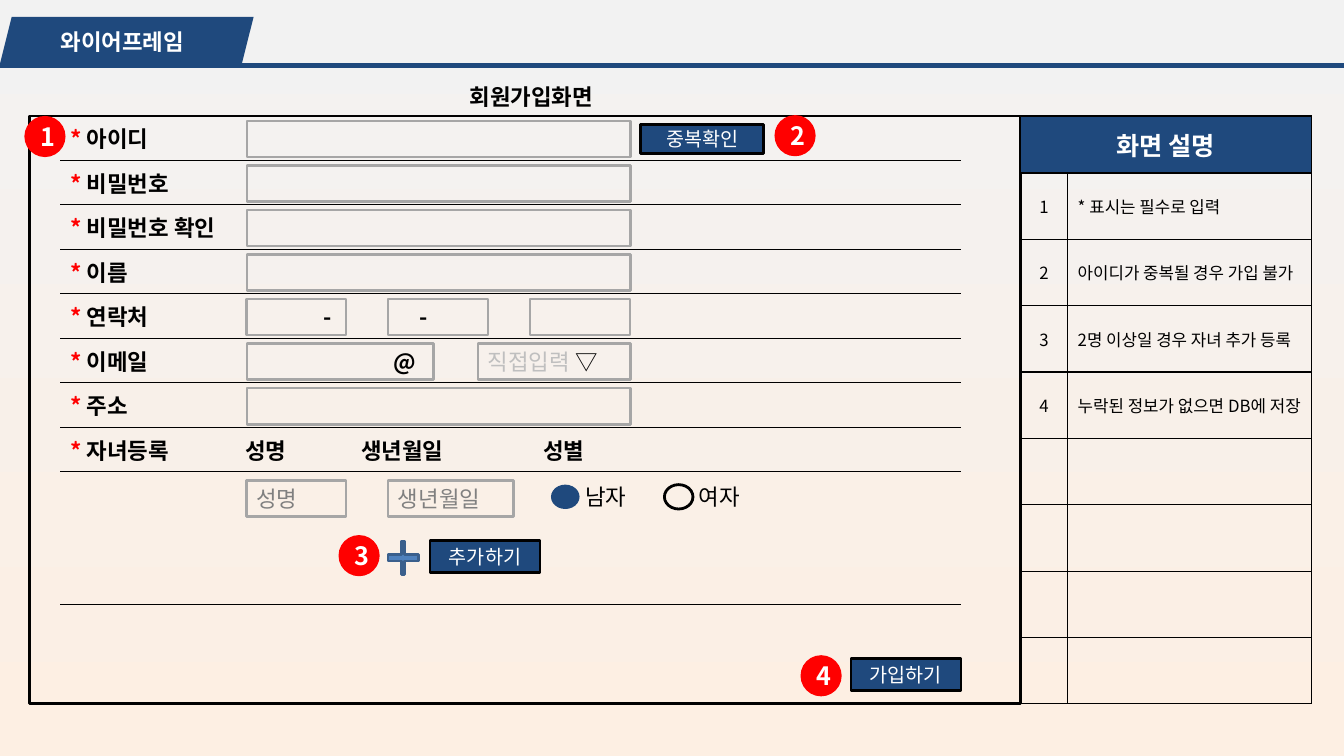
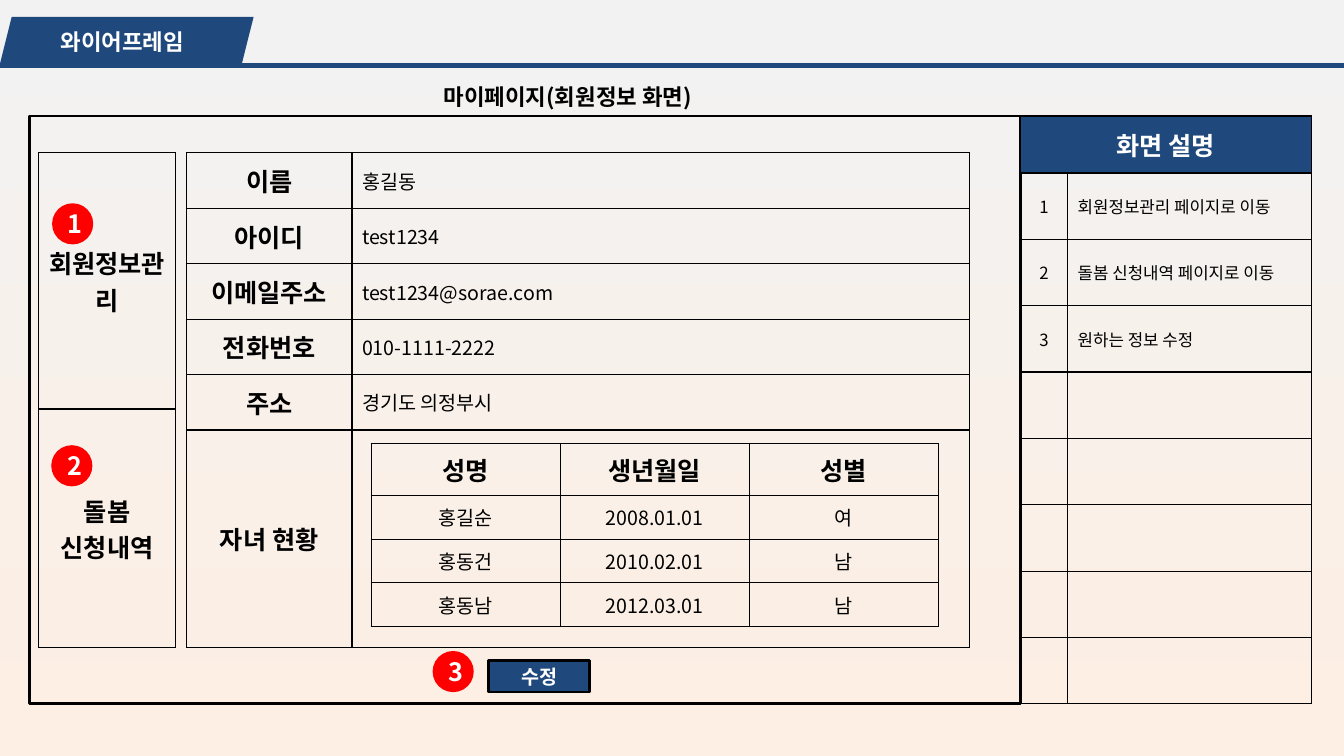
"""Build two wireframe slides: the sign-up form and the member page."""
from dataclasses import dataclass, replace
from typing import Optional, Sequence

from pptx import Presentation
from pptx.dml.color import RGBColor
from pptx.enum.shapes import MSO_CONNECTOR, MSO_SHAPE
from pptx.enum.text import MSO_ANCHOR, PP_ALIGN
from pptx.oxml.ns import qn
from pptx.util import Emu, Pt
from lxml.etree import SubElement

COLOURS = {
    "navy": "1F497D", "blue": "4F81BD", "blue_edge": "3A5F8C", "red": "FF0000",
    "black": "000000", "white": "FFFFFF", "field": "A6A6A6", "hint": "808080",
    "faint": "BFBFBF", "top": "F2F2F2", "bottom": "FDEFE3",
}
KOREAN_FONT = "Noto Sans CJK KR"
GRID_COLUMNS, GRID_ROWS = 160, 90
CELL = 76200
FRAME_LEFT, FRAME_TOP, FRAME_WIDTH, FRAME_HEIGHT = 3.5, 13.8, 118, 70
FORM_LEFT, FORM_ROW = 7.2, 5.3
FIELD_LEFT, FIELD_WIDTH, FIELD_HEIGHT = 29.4, 45.7, 4.3
SMALL_LEFT, SMALL_WIDTH, SMALL_STEP = 29.3, 11.9, 16.9
NOTE_ROWS = 8


@dataclass(frozen=True)
class TextStyle:
    """Format of a text."""
    size: float = 16
    bold: bool = False
    colour: str = "black"
    align: PP_ALIGN = PP_ALIGN.CENTER
    font: str = KOREAN_FONT


@dataclass(frozen=True)
class Box:
    """Place on the slide grid, in columns and rows."""
    left: float
    top: float
    width: float
    height: float


@dataclass(frozen=True)
class Label:
    """Text runs with their style, tab stops in columns and cell fill."""
    runs: Sequence[tuple[str, str]]
    style: TextStyle
    tabs: Sequence[float] = ()
    fill: Optional[str] = None


@dataclass(frozen=True)
class Badge:
    """Numbered red marker."""
    number: int
    left: float
    top: float


@dataclass(frozen=True)
class FormRow:
    """Caption of a form row with further texts at tab stops."""
    caption: str
    extras: Sequence[tuple[str, float]] = ()


TITLE = TextStyle(bold=True)
TAB_TITLE = replace(TITLE, colour="white")
HEADER = TextStyle(18, True)
WHITE_HEADER = replace(HEADER, colour="white")
BUTTON = TextStyle(14, colour="white")
NOTE_NUMBER = TextStyle(12)
NOTE = replace(NOTE_NUMBER, align=PP_ALIGN.LEFT)
VALUE = TextStyle(14)
LEFT_VALUE = replace(VALUE, align=PP_ALIGN.LEFT)
FORM = TextStyle(bold=True, align=PP_ALIGN.LEFT)
HINT = TextStyle(colour="hint", align=PP_ALIGN.LEFT)
RADIO = TextStyle(font="Arial")

FORM_ROWS = [
    FormRow("아이디"), FormRow("비밀번호"), FormRow("비밀번호 확인"), FormRow("이름"),
    FormRow("연락처", (("-", 30.1), ("-", 41.5))),
    FormRow("이메일", (("@", 38.4),)),
    FormRow("주소"),
    FormRow("자녀등록", (("성명", 20.8), ("생년월일", 34.6), ("성별", 56.3))),
]
SIGN_UP_NOTES = ["* 표시는 필수로 입력", "아이디가 중복될 경우 가입 불가",
                 "2명 이상일 경우 자녀 추가 등록", "누락된 정보가 없으면 DB에 저장"]
MEMBER_NOTES = ["회원정보관리 페이지로 이동", "돌봄 신청내역 페이지로 이동", "원하는 정보 수정"]
MEMBER = {"이름": "홍길동", "아이디": "test1234", "이메일주소": "test1234@sorae.com",
          "전화번호": "010-1111-2222", "주소": "경기도 의정부시"}
CHILDREN = [("홍길순", "2008.01.01", "여"), ("홍동건", "2010.02.01", "남"),
            ("홍동남", "2012.03.01", "남")]


def cells(count: float) -> Emu:
    """Turn grid cells into a length."""
    return Emu(round(count * CELL))


def place(box: Box) -> tuple[Emu, ...]:
    """Turn a grid box into left, top, width and height."""
    return tuple(cells(value) for value in (box.left, box.top, box.width, box.height))


def rgb(name: str) -> RGBColor:
    """Look up a colour."""
    return RGBColor.from_string(COLOURS[name])


def plain(text: str, style: TextStyle) -> Label:
    """Make a label of one run."""
    return Label([(text, style.colour)], style)


def write(text_frame, label: Label) -> None:
    """Write a label into a text frame."""
    style = label.style
    paragraph = text_frame.paragraphs[0]
    paragraph.alignment = style.align
    if label.tabs:
        tab_list = SubElement(paragraph._p.get_or_add_pPr(), qn("a:tabLst"))
        for stop in label.tabs:
            SubElement(tab_list, qn("a:tab"), pos=str(cells(stop)), algn="l")
    font_format = {"size": Pt(style.size), "bold": style.bold, "name": style.font}
    for text, colour in label.runs:
        run = paragraph.add_run()
        run.text = text
        for name, value in font_format.items():
            setattr(run.font, name, value)
        run.font.color.rgb = rgb(colour)
        SubElement(run._r.get_or_add_rPr(), qn("a:ea"), typeface=KOREAN_FONT)


def add_box(slide, kind: MSO_SHAPE, box: Box, fill: Optional[str] = None,
            line: Optional[str] = None, label: Optional[Label] = None):
    """Draw a preset shape."""
    shape = slide.shapes.add_shape(kind, *place(box))
    shape.shadow.inherit = False
    if fill:
        shape.fill.solid()
        shape.fill.fore_color.rgb = rgb(fill)
    else:
        shape.fill.background()
    if line:
        shape.line.color.rgb = rgb(line)
        shape.line.width = Pt(2)
    else:
        shape.line.fill.background()
    if label:
        shape.text_frame.vertical_anchor = MSO_ANCHOR.MIDDLE
        write(shape.text_frame, label)
    return shape


def add_text(slide, box: Box, text: str, style: TextStyle) -> None:
    """Draw a text box."""
    text_frame = slide.shapes.add_textbox(*place(box)).text_frame
    text_frame.word_wrap = True
    text_frame.vertical_anchor = MSO_ANCHOR.MIDDLE
    write(text_frame, plain(text, style))


def add_button(slide, box: Box, text: str, style: TextStyle = BUTTON) -> None:
    """Draw a button."""
    add_box(slide, MSO_SHAPE.RECTANGLE, box, "navy", "black", plain(text, style))


def add_badges(slide, badges: Sequence[Badge]) -> None:
    """Draw numbered markers."""
    for badge in badges:
        add_box(slide, MSO_SHAPE.OVAL, Box(badge.left, badge.top, 4.9, 4.9), "red",
                label=plain(str(badge.number), WHITE_HEADER))


def add_field(slide, row: float, left: float = FIELD_LEFT, width: float = FIELD_WIDTH,
              label: Optional[Label] = None) -> None:
    """Draw an input field on a form row."""
    box = Box(left, FRAME_TOP + 0.6 + FORM_ROW * row, width, FIELD_HEIGHT)
    add_box(slide, MSO_SHAPE.RECTANGLE, box, line="field", label=label)


def add_grid(slide, left: float, top: float, columns: Sequence[float], rows: Sequence[float],
             labels: Sequence[Sequence[Optional[Label]]], borders: str = "LRTB"):
    """Draw a table with thin black borders on the named sides."""
    box = Box(left, top, sum(columns), sum(rows))
    table = slide.shapes.add_table(len(rows), len(columns), *place(box)).table
    table.first_row = table.horz_banding = False
    for column, width in zip(table.columns, columns):
        column.width = cells(width)
    for row, height in zip(table.rows, rows):
        row.height = cells(height)
    for row, row_labels in zip(table.rows, labels):
        for cell, label in zip(row.cells, row_labels):
            cell.vertical_anchor = MSO_ANCHOR.MIDDLE
            properties = cell._tc.get_or_add_tcPr()
            for side in "LRTB":
                edge = SubElement(properties, qn(f"a:ln{side}"), w=str(Pt(1)))
                if side in borders:
                    solid = SubElement(edge, qn("a:solidFill"))
                    SubElement(solid, qn("a:srgbClr"), val=COLOURS["black"])
                else:
                    SubElement(edge, qn("a:noFill"))
            if label and label.fill:
                cell.fill.solid()
                cell.fill.fore_color.rgb = rgb(label.fill)
            else:
                cell.fill.background()
            if label:
                write(cell.text_frame, label)
    return table


def add_notes_table(slide, notes: Sequence[str]) -> None:
    """Draw the numbered screen description."""
    header = replace(plain("화면 설명", WHITE_HEADER), fill="navy")
    labels = [[header, None]]
    labels += [[plain(str(number), NOTE_NUMBER), plain(note, NOTE)]
               for number, note in enumerate(notes, 1)]
    labels += [[None, None]] * (NOTE_ROWS - len(notes))
    table = add_grid(slide, FRAME_LEFT + FRAME_WIDTH, FRAME_TOP, [5.6, 29],
                     [6.8] + [7.9] * NOTE_ROWS, labels)
    table.cell(0, 0).merge(table.cell(0, 1))


def add_wireframe(presentation, heading: str, heading_width: float, notes: Sequence[str]):
    """Add a slide with the shared background, title band, frame and notes."""
    slide = presentation.slides.add_slide(presentation.slide_layouts[6])
    fill = slide.background.fill
    fill.gradient()
    fill.gradient_angle = 270
    for stop, colour in zip(fill.gradient_stops, ("top", "bottom")):
        stop.color.rgb = rgb(colour)
    add_box(slide, MSO_SHAPE.PARALLELOGRAM, Box(0, 2, 30.2, 5.6), "navy")
    add_text(slide, Box(0, 1.6, 29.1, 6.6), "와이어프레임", TAB_TITLE)
    rule = slide.shapes.add_connector(MSO_CONNECTOR.STRAIGHT, 0, cells(7.8),
                                      cells(GRID_COLUMNS), cells(7.8))
    rule.line.color.rgb = rgb("navy")
    rule.line.width = Pt(3)
    SubElement(rule._element.spPr, qn("a:effectLst"))
    add_text(slide, Box(48.5, 8.2, heading_width, 6.6), heading, TITLE)
    add_box(slide, MSO_SHAPE.RECTANGLE,
            Box(FRAME_LEFT, FRAME_TOP, FRAME_WIDTH, FRAME_HEIGHT), line="black")
    add_notes_table(slide, notes)
    return slide


def form_label(row: FormRow) -> Label:
    """Make the label of a required form row."""
    text = "\t".join([row.caption, *(extra for extra, _ in row.extras)])
    return Label([("* ", "red"), (text, "black")], FORM, [stop for _, stop in row.extras])


def build_sign_up(presentation) -> None:
    """Build the sign-up form."""
    slide = add_wireframe(presentation, "회원가입화면", 29.5, SIGN_UP_NOTES)
    add_grid(slide, FORM_LEFT, FRAME_TOP, [107.2], [FORM_ROW] * len(FORM_ROWS) + [15.8],
             [[form_label(row)] for row in FORM_ROWS] + [[None]], "TB")
    for row in (0, 1, 2, 3, 6):
        add_field(slide, row)
    for part in range(3):
        add_field(slide, 4, SMALL_LEFT + SMALL_STEP * part, SMALL_WIDTH)
    add_field(slide, 5, width=22.2)
    add_field(slide, 5, 56.9, 18.2, Label([("직접입력", "faint"), (" ▽", "black")], HINT))
    for part, (hint, width) in enumerate((("성명", SMALL_WIDTH), ("생년월일", 14.9))):
        add_field(slide, 8.08, SMALL_LEFT + SMALL_STEP * part, width, plain(hint, HINT))
    for left, text, fill, line in ((65.6, "남자", "navy", None), (79.1, "여자", None, "black")):
        add_box(slide, MSO_SHAPE.OVAL, Box(left, 57.7, 3.4, 2.9), fill, line)
        add_text(slide, Box(left - 8.2, 55.8, 29.5, 6.6), text, RADIO)
    add_button(slide, Box(76.3, 14.8, 14.6, 3.5), "중복확인")
    add_button(slide, Box(51.2, 64.4, 13.1, 3.8), "추가하기")
    add_button(slide, Box(101.3, 78.4, 13.1, 3.8), "가입하기")
    plus = add_box(slide, MSO_SHAPE.CROSS, Box(46.2, 64.4, 3.6, 4), "blue", "blue_edge")
    plus.adjustments[0] = 0.45
    add_badges(slide, [Badge(1, 2.9, 13.8), Badge(2, 92.2, 13.7),
                       Badge(3, 40.3, 63.7), Badge(4, 95.3, 78)])


def build_member_page(presentation) -> None:
    """Build the member page."""
    slide = add_wireframe(presentation, "마이페이지(회원정보 화면)", 38.2, MEMBER_NOTES)
    add_grid(slide, 4.6, 18.2, [16.3], [30.5, 28.4],
             [[plain(menu, HEADER)] for menu in ("회원정보관리", "돌봄 신청내역")])
    details = [[plain(name, HEADER), plain(value, LEFT_VALUE)] for name, value in MEMBER.items()]
    add_grid(slide, 22.2, 18.2, [19.7, 73.5], [6.6] * len(MEMBER) + [25.9],
             details + [[plain("자녀 현황", HEADER), None]])
    children = [[plain(name, HEADER) for name in ("성명", "생년월일", "성별")]]
    children += [[plain(value, VALUE) for value in child] for child in CHILDREN]
    add_grid(slide, 44.2, 52.8, [22.5] * 3, [6.2] + [5.2] * len(CHILDREN), children)
    add_button(slide, Box(58.2, 78.6, 12, 3.8), "수정", replace(BUTTON, bold=True))
    add_badges(slide, [Badge(1, 6.2, 24.2), Badge(2, 6.1, 53), Badge(3, 51.5, 77.5)])


def main() -> None:
    """Build and save the presentation."""
    presentation = Presentation()
    presentation.slide_width = cells(GRID_COLUMNS)
    presentation.slide_height = cells(GRID_ROWS)
    build_sign_up(presentation)
    build_member_page(presentation)
    presentation.save("out.pptx")


if __name__ == "__main__":
    main()
